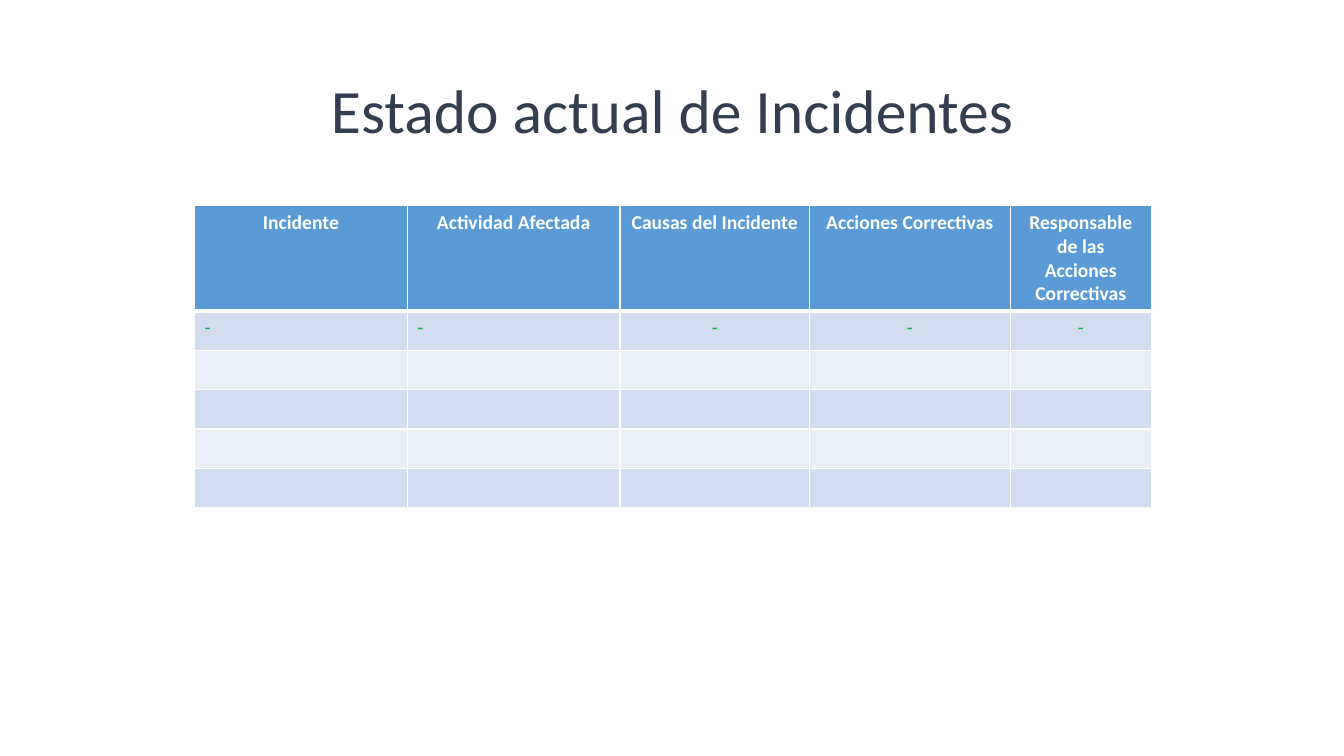
import pptx
import pptx.util
import pptx.dml.color
import pptx.enum.text
import pptx.oxml.ns
import lxml.etree
from pptx.util import Inches

COLORS = {
    "title": "333F50",
    "header": "5B9BD5",
    "band_dark": "D2DEEF",
    "band_light": "EAEFF7",
    "white": "FFFFFF",
    "green": "00B050",
}
FONT = "Calibri"
CENTER = pptx.enum.text.PP_ALIGN.CENTER
LEFT = pptx.enum.text.PP_ALIGN.LEFT
HEADERS = ["Incidente", "Actividad Afectada", "Causas del Incidente",
           "Acciones Correctivas", "Responsable de las Acciones Correctivas"]
COL_WIDTHS = [2.11, 2.11, 1.88, 1.99, 1.4]
BODY_ALIGN = [LEFT, LEFT, CENTER, CENTER, CENTER]
ROW_COUNT = 6
ROW_HEIGHT = 0.39
TEXT_SIZE = 14


def rgb(name):
    return pptx.dml.color.RGBColor.from_string(COLORS[name])


def write(tf, text, size, color, align, bold=False):
    p = tf.paragraphs[0]
    p.text = text
    p.alignment = align
    for r in p.runs:
        r.font.name = FONT
        r.font.size = pptx.util.Pt(size)
        r.font.bold = bold
        r.font.color.rgb = rgb(color)
    return p


def add_title(s, text):
    title = s.shapes.title
    title.left, title.top = Inches(0.92), Inches(0.4)
    title.width, title.height = Inches(11.5), Inches(1.45)
    title.text_frame.vertical_anchor = pptx.enum.text.MSO_ANCHOR.MIDDLE
    p = write(title.text_frame, text, 44, "title", CENTER)
    p.line_spacing = 0.9


def set_borders(cell, widths):
    qn = pptx.oxml.ns.qn
    tc_pr = cell._tc.get_or_add_tcPr()
    for side, width in widths.items():
        ln = lxml.etree.SubElement(tc_pr, qn(f"a:ln{side}"), w=str(pptx.util.Pt(width)))
        fill = lxml.etree.SubElement(ln, qn("a:solidFill"))
        lxml.etree.SubElement(fill, qn("a:srgbClr"), val=COLORS["white"])


def set_empty_size(cell, size):
    # An empty cell takes its line height from the paragraph end mark
    p = cell.text_frame.paragraphs[0]
    lxml.etree.SubElement(p._p, pptx.oxml.ns.qn("a:endParaRPr"), sz=str(size * 100))


def format_cell(cell, row, col):
    # The line under the header is thicker than the rest
    set_borders(cell, {"L": 1, "R": 1, "T": 3 if row == 1 else 1, "B": 3 if row == 0 else 1})
    if row == 0:
        fill = "header"
        write(cell.text_frame, HEADERS[col], TEXT_SIZE, "white", CENTER, True)
    else:
        fill = "band_dark" if row % 2 else "band_light"
        if row == 1:
            write(cell.text_frame, "-", TEXT_SIZE, "green", BODY_ALIGN[col])
        else:
            set_empty_size(cell, TEXT_SIZE)
    cell.fill.solid()
    cell.fill.fore_color.rgb = rgb(fill)


def add_incident_table(s):
    frame = s.shapes.add_table(ROW_COUNT, len(HEADERS), Inches(1.93), Inches(2.04),
                               Inches(sum(COL_WIDTHS)), Inches(ROW_HEIGHT * ROW_COUNT))
    table = frame.table
    for column, width in zip(table.columns, COL_WIDTHS):
        column.width = Inches(width)
    for i, row in enumerate(table.rows):
        row.height = Inches(ROW_HEIGHT)
        for j, cell in enumerate(row.cells):
            format_cell(cell, i, j)


def main():
    prs = pptx.Presentation()
    prs.slide_width, prs.slide_height = Inches(13.33), Inches(7.5)
    s = prs.slides.add_slide(prs.slide_layouts[5])

    # Heading
    add_title(s, "Estado actual de Incidentes")

    # Incident status
    add_incident_table(s)

    prs.save("out.pptx")


if __name__ == "__main__":
    main()
